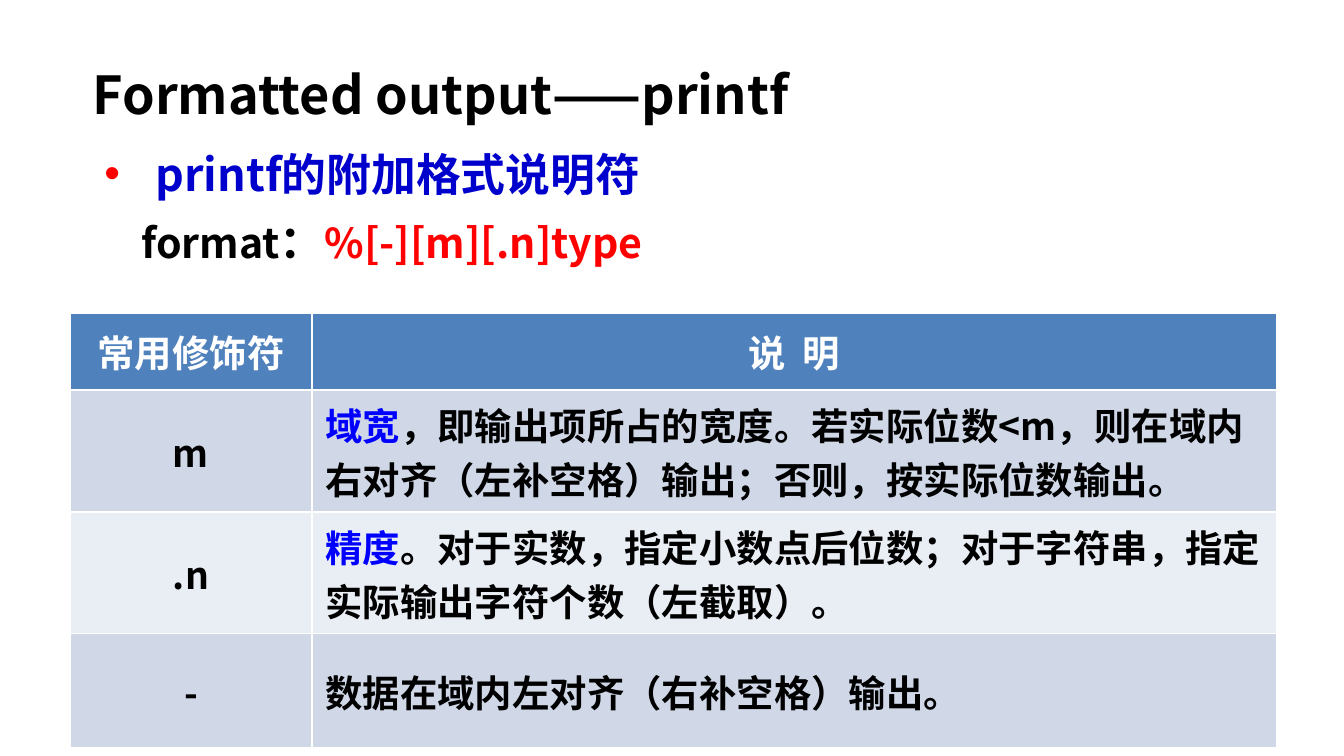
from lxml.etree import SubElement
from pptx import Presentation
from pptx.dml.color import RGBColor
from pptx.enum.text import MSO_ANCHOR, MSO_AUTO_SIZE, PP_ALIGN
from pptx.oxml.ns import qn
from pptx.util import Pt

EMU_PER_PX = 914400 / 134.4
FONT = "Noto Sans CJK SC"
BLACK = RGBColor(0x00, 0x00, 0x00)
WHITE = RGBColor(0xFF, 0xFF, 0xFF)
RED = RGBColor(0xFF, 0x00, 0x00)
NAVY = RGBColor(0x00, 0x00, 0xCC)
BLUE = RGBColor(0x00, 0x00, 0xFF)
HEADER_FILL = RGBColor(0x4F, 0x81, 0xBD)
BAND_FILLS = (RGBColor(0xD0, 0xD8, 0xE8), RGBColor(0xE9, 0xED, 0xF4))

COLUMN_WIDTHS = (242, 965)
ROW_HEIGHTS = (77, 114, 114, 114)
HEADER = ("常用修饰符", "说  明")
MODIFIERS = (
    ("m", "域宽", "，即输出项所占的宽度。若实际位数<m，则在域内右对齐（左补空格）输出；否则，按实际位数输出。"),
    (".n", "精度", "。对于实数，指定小数点后位数；对于字符串，指定实际输出字符个数（左截取）。"),
    ("-", "", "数据在域内左对齐（右补空格）输出。"),
)


def px(length):
    return round(length * EMU_PER_PX)


def place(shape, left, top, width, height):
    shape.left, shape.top = px(left), px(top)
    shape.width, shape.height = px(width), px(height)


def write(paragraph, runs, size, alignment=PP_ALIGN.LEFT):
    """Fill a paragraph with (text, colour) runs in the bold slide font."""
    paragraph.alignment = alignment
    font = paragraph.font
    font.name, font.size, font.bold = FONT, Pt(size), True
    defaults = paragraph._p.pPr.find(qn("a:defRPr"))
    SubElement(defaults, qn("a:ea"), typeface=FONT)
    for text, color in runs:
        run = paragraph.add_run()
        run.text = text
        run.font.color.rgb = color


def set_bullet(paragraph, margin, indent, color=None):
    """Indent a paragraph and give it a coloured bullet, or none."""
    properties = paragraph._p.get_or_add_pPr()
    properties.set("marL", str(px(margin)))
    properties.set("indent", str(px(indent)))
    if color is None:
        bullet = [SubElement(properties, qn("a:buNone"))]
    else:
        bullet_color = SubElement(properties, qn("a:buClr"))
        SubElement(bullet_color, qn("a:srgbClr"), val=str(color))
        bullet = [
            bullet_color,
            SubElement(properties, qn("a:buFont"), typeface="Arial"),
            SubElement(properties, qn("a:buChar"), char="•"),
        ]
    defaults = properties.find(qn("a:defRPr"))
    for element in bullet:
        defaults.addprevious(element)


def add_title(slide):
    title = slide.shapes.title
    place(title, 67, 31, 1210, 126)
    frame = title.text_frame
    frame.auto_size = MSO_AUTO_SIZE.NONE
    frame.vertical_anchor = MSO_ANCHOR.MIDDLE
    frame.margin_left = px(26)
    write(frame.paragraphs[0], [("Formatted output——printf", BLACK)], 28)


def add_body(slide):
    body = slide.placeholders[1]
    place(body, 91, 136, 1073, 177)
    frame = body.text_frame
    frame.auto_size = MSO_AUTO_SIZE.NONE
    heading, syntax = frame.paragraphs[0], frame.add_paragraph()
    write(heading, [("printf的附加格式说明符", NAVY)], 24)
    write(syntax, [("format", BLACK), ("：", BLACK), ("%[-][m][.n]type", RED)], 22)
    syntax.runs[1].font.size = Pt(24)
    for paragraph in (heading, syntax):
        paragraph.line_spacing = 1.07
        paragraph.space_before = Pt(5)
    set_bullet(heading, 51, -51, RED)
    set_bullet(syntax, 37, 0)


def fill_cell(cell, fill, runs, alignment=PP_ALIGN.CENTER):
    cell.fill.solid()
    cell.fill.fore_color.rgb = fill
    cell.vertical_anchor = MSO_ANCHOR.MIDDLE
    write(cell.text_frame.paragraphs[0], runs, 20, alignment)


def add_modifier_table(slide):
    table = slide.shapes.add_table(
        len(ROW_HEIGHTS), len(COLUMN_WIDTHS), px(70), px(313),
        px(sum(COLUMN_WIDTHS)), px(sum(ROW_HEIGHTS)),
    ).table
    for column, width in zip(table.columns, COLUMN_WIDTHS):
        column.width = px(width)
    for row, height in zip(table.rows, ROW_HEIGHTS):
        row.height = px(height)
    for index, label in enumerate(HEADER):
        fill_cell(table.cell(0, index), HEADER_FILL, [(label, WHITE)])
    for index, (modifier, term, description) in enumerate(MODIFIERS):
        fill = BAND_FILLS[index % 2]
        runs = [(term, BLUE)] if term else []
        runs.append((description, BLACK))
        fill_cell(table.cell(index + 1, 0), fill, [(modifier, BLACK)])
        fill_cell(table.cell(index + 1, 1), fill, runs, PP_ALIGN.LEFT)


def main():
    presentation = Presentation()
    presentation.slide_width, presentation.slide_height = px(1344), px(756)
    slide = presentation.slides.add_slide(presentation.slide_layouts[1])
    add_title(slide)
    add_body(slide)
    add_modifier_table(slide)
    presentation.save("out.pptx")


if __name__ == "__main__":
    main()
